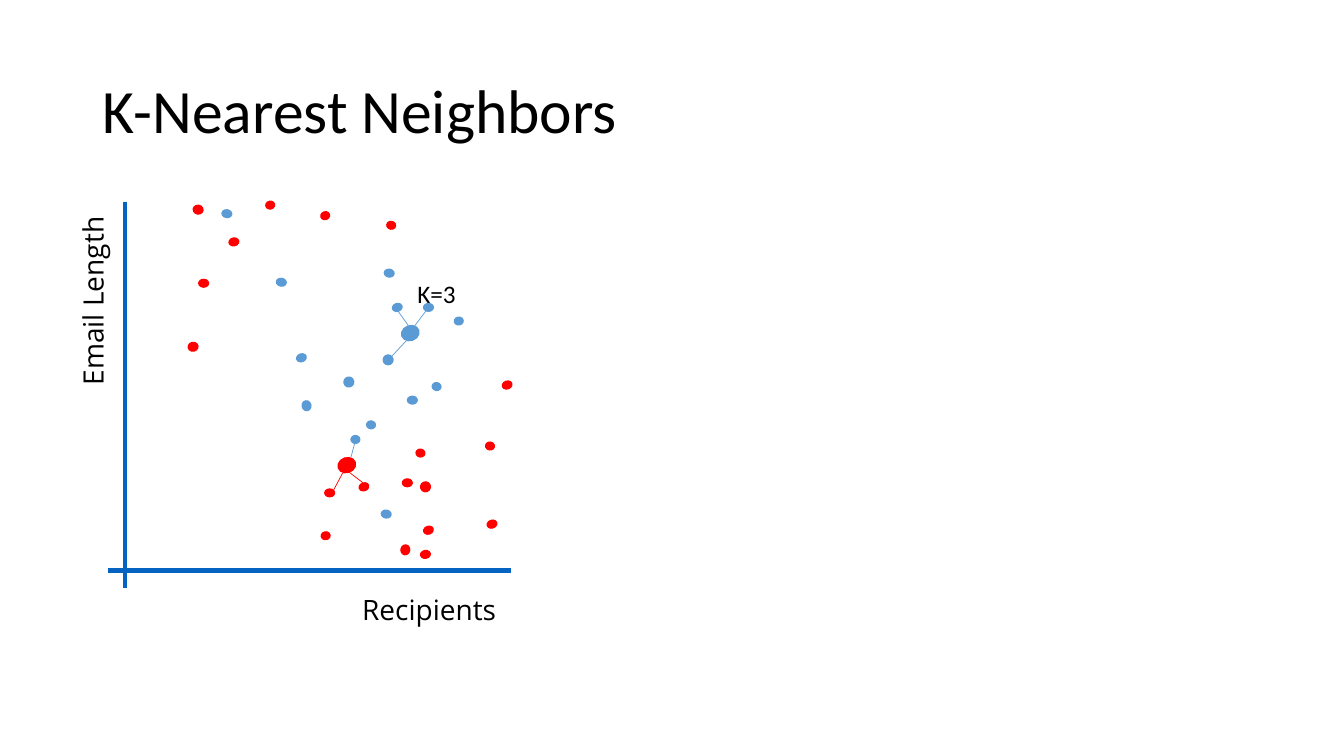
from lxml import etree
from pptx import Presentation
from pptx.dml.color import RGBColor as RGB
from pptx.enum.shapes import MSO_CONNECTOR as Link, MSO_SHAPE as Kind
from pptx.enum.text import MSO_ANCHOR as Anchor, MSO_AUTO_SIZE as Fit, PP_ALIGN as Align
from pptx.oxml.ns import qn
from pptx.util import Emu, Pt

PX = 9144  # 100 px to the inch
RED, BLUE, NAVY, BLACK = "FF0000", "5B9BD5", "0563C1", "000000"


def px(*vals):
    return [Emu(v * PX) for v in vals]


def tint(code):
    return RGB.from_string(code)


def put(item, fmt):
    for name, val in fmt.items():
        setattr(item, name, val)


class Plot:
    """Style and current slide, with one method per kind of element."""

    def __init__(self, deck):
        self.slide = deck.slides.add_slide(deck.slide_layouts[6])
        self.shapes = self.slide.shapes
        self.edge = Pt(0.75)

    def text(self, words, box, size, font, turn=0, frame=None, para=None):
        item = self.shapes.add_textbox(*px(*box))
        item.rotation = turn
        body = item.text_frame
        put(body, {"word_wrap": True, **(frame or {})})
        line = body.paragraphs[0]
        put(line, para or {})
        run = line.add_run()
        run.text = words
        put(run.font, {"size": Pt(size), "name": font})
        run.font.color.rgb = tint(BLACK)

    def line(self, start, end, color, width):
        item = self.shapes.add_connector(Link.STRAIGHT, *px(*start, *end))
        item.line.color.rgb = tint(color)
        item.line.width = Pt(width)
        etree.SubElement(item._element.spPr, qn("a:effectLst"))

    def dot(self, box, color, turn=0):
        item = self.shapes.add_shape(Kind.OVAL, *px(*box))
        item.rotation = turn
        item.shadow.inherit = False
        item.fill.solid()
        item.fill.fore_color.rgb = tint(color)
        item.line.color.rgb = tint(color)
        item.line.width = self.edge


# Sample dots by colour and tilt: left, top, width, height
DOTS = {
    (RED, 0): [(197, 277, 10, 8), (322, 485, 10, 8), (399, 475, 10, 8)],
    (BLUE, 0): [(404, 393, 10, 8), (420, 301, 10, 8), (348, 432, 9, 8),
                (380, 352, 10, 10)],
    (RED, 341.4): [(318, 210, 9, 8), (498, 378, 10, 8), (420, 522, 10, 8),
                   (356, 479, 10, 8), (483, 516, 10, 8)],
    (BLUE, 341.4): [(389, 301, 10, 8), (294, 351, 10, 8)],
    (RED, 98.3): [(192, 203, 9, 10), (417, 478, 10, 10), (384, 219, 8, 9),
                  (482, 438, 8, 9), (413, 445, 8, 9), (397, 541, 10, 9)],
    (BLUE, 98.3): [(364, 417, 8, 9), (275, 275, 8, 10), (429, 379, 8, 9),
                   (382, 266, 8, 10), (221, 207, 8, 10), (379, 505, 8, 10)],
    (RED, 79.6): [(319, 527, 8, 9), (264, 199, 8, 9), (228, 235, 8, 10),
                  (187, 339, 9, 10), (418, 545, 8, 10)],
    (BLUE, 79.6): [(341, 374, 10, 10), (299, 398, 10, 9), (451, 314, 8, 9)],
}

# New points: left, top, colour, and the links to their three neighbours
NEW = [
    (398, 323, BLUE, [((405, 323), (395, 309), BLUE),
                      ((410, 325), (425, 305), BLUE),
                      ((403, 338), (389, 353), BLUE)]),
    (335, 454, RED, [((348, 454), (352, 439), BLUE),
                     ((340, 469), (331, 486), RED),
                     ((347, 469), (360, 479), RED)]),
]


def main():
    deck = Presentation()
    deck.slide_width, deck.slide_height = px(1333, 750)
    plot = Plot(deck)

    # Title
    plot.text("K-Nearest Neighbors", (92, 40, 1150, 145), 44, "Calibri",
              frame={"vertical_anchor": Anchor.MIDDLE},
              para={"line_spacing": 0.9})

    # Axes
    plot.line((124, 200), (124, 583), NAVY, 3)
    plot.line((107, 566), (507, 566), NAVY, 3)

    # Samples
    for (color, turn), boxes in DOTS.items():
        for box in boxes:
            plot.dot(box, color, turn)

    # Labels
    grow = {"auto_size": Fit.SHAPE_TO_FIT_TEXT}
    for words, left, top, turn in [("Recipients", 216, 583, 0),
                                   ("Email Length", -51, 326, 270)]:
        plot.text(words, (left, top, 286, 44), 20, "Open Sans", turn,
                  grow, {"alignment": Align.RIGHT})
    plot.text("K=3", (404, 271, 91, 40), 18, "Calibri", frame=grow)

    # New points with their links
    for left, top, color, links in NEW:
        for link in links:
            plot.line(*link, 0.5)
        plot.dot((left, top, 18, 15), color, 341.4)

    deck.save("out.pptx")


if __name__ == "__main__":
    main()
